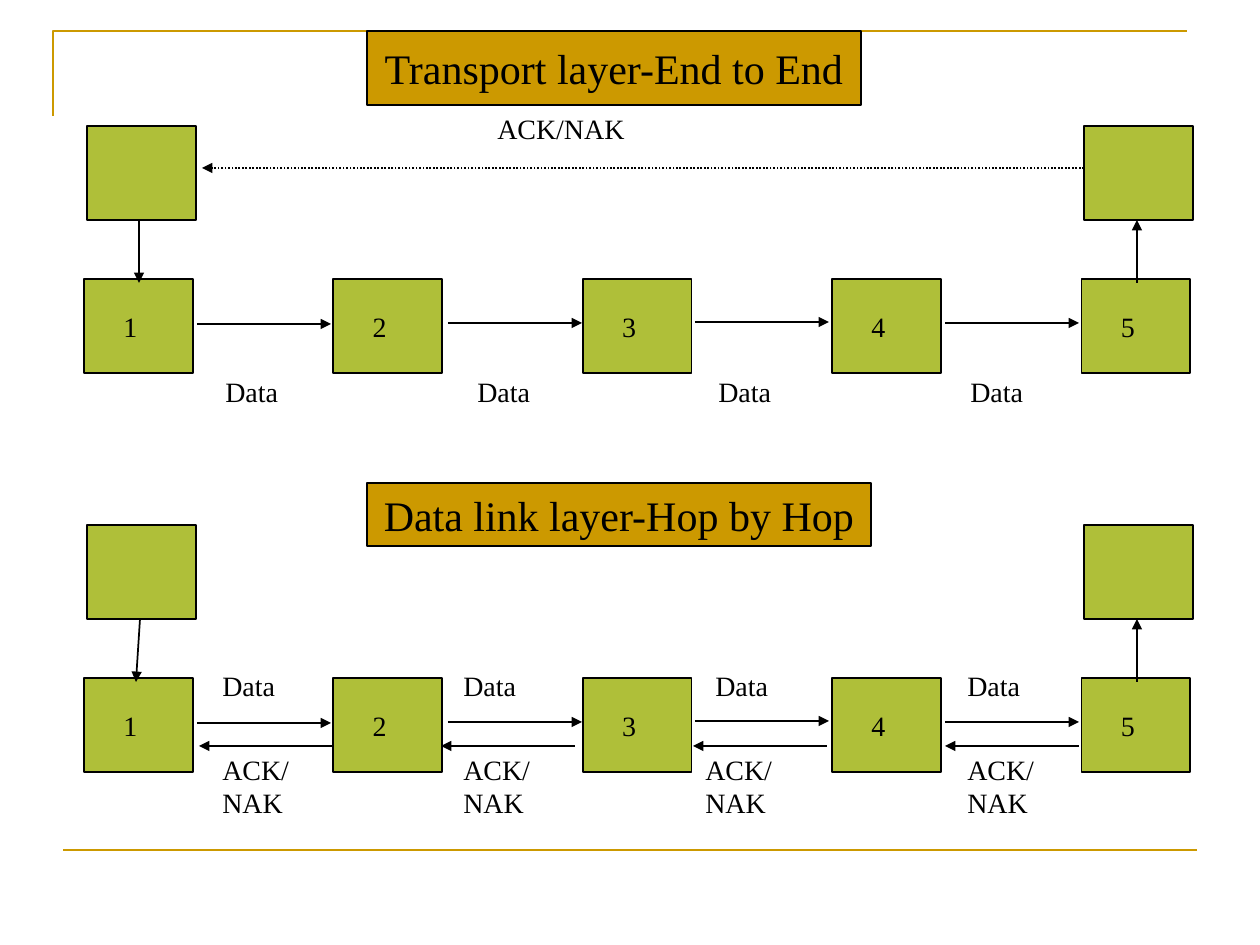
from pptx import Presentation
from pptx.dml.color import RGBColor
from pptx.enum.dml import MSO_LINE
from pptx.enum.shapes import MSO_CONNECTOR as Link, MSO_SHAPE as Preset
from pptx.enum.text import MSO_ANCHOR as Anchor, MSO_AUTO_SIZE as Fit, PP_ALIGN as Align
from pptx.oxml.ns import qn
from pptx.util import Emu, Inches, Pt
from lxml.etree import SubElement

EMU_PER_PX = Inches(1) / 126
GOLD = RGBColor(0xCC, 0x99, 0x00)
GREEN = RGBColor(0xAF, 0xBF, 0x39)
BLACK = RGBColor(0x00, 0x00, 0x00)

NODE_LEFT, NODE_TOP, NODE_STEP = 84, 279, 249.35
NODE_W, NODE_H = 109, 94
NODES = 5
LINK_LENGTH = 134
DATA_LINKS = [(197, 324), (448, 323), (695, 322), (945, 323)]
SECTION_GAP = 399


def px(*lengths):
    return [Emu(round(length * EMU_PER_PX)) for length in lengths]


class Diagram:
    font = {"name": "Times New Roman"}

    def __init__(self, slide):
        self.slide = slide
        self.shapes = slide.shapes

    def outline(self, line, color, width):
        line.color.rgb = color
        line.width = Pt(width)

    def set_text(self, frame, text, size, **frame_format):
        for key, value in frame_format.items():
            setattr(frame, key, value)
        paragraph = frame.paragraphs[0]
        paragraph.text = text
        for key, value in {**self.font, "size": Pt(size)}.items():
            setattr(paragraph.font, key, value)
        paragraph.font.color.rgb = BLACK
        return paragraph

    def box(self, x, y, width=NODE_W, height=NODE_H, fill=GREEN, border=1):
        box = self.shapes.add_shape(Preset.RECTANGLE, *px(x, y, width, height))
        box.shadow.inherit = False
        box.fill.solid()
        box.fill.fore_color.rgb = fill
        self.outline(box.line, BLACK, border)
        return box

    def heading(self, text, x, y, width, height):
        banner = self.box(x, y, width, height, GOLD, 0.75)
        paragraph = self.set_text(banner.text_frame, text, 24, word_wrap=False,
                                  vertical_anchor=Anchor.MIDDLE)
        paragraph.alignment = Align.CENTER

    def label(self, text, x, y, width=103, height=47):
        label = self.shapes.add_textbox(*px(x, y, width, height))
        self.set_text(label.text_frame, text, 16, word_wrap=True,
                      auto_size=Fit.SHAPE_TO_FIT_TEXT)

    def line(self, start, end, color=BLACK, width=1):
        line = self.shapes.add_connector(Link.STRAIGHT, *px(*start, *end))
        self.outline(line.line, color, width)
        SubElement(line._element.spPr, qn("a:effectLst"))
        return line

    def arrow(self, start, end, dash=None):
        arrow = self.line(start, end)
        if dash is not None:
            arrow.line.dash_style = dash
        SubElement(arrow.line._get_or_add_ln(), qn("a:tailEnd"), type="triangle")

    def corner(self, *points):
        """Draw an open gold line through the points."""
        first, *rest = [px(*point) for point in points]
        builder = self.shapes.build_freeform(*first)
        builder.add_line_segments(rest, close=False)
        corner = builder.convert_to_shape()
        corner.shadow.inherit = False
        corner.fill.background()
        self.outline(corner.line, GOLD, 1.5)

    def network(self, shift, sender_link):
        """Draw both hosts, the numbered nodes and the data arrows, moved down by shift."""
        for number in range(NODES):
            x, y = NODE_LEFT + number * NODE_STEP, NODE_TOP + shift
            self.box(x, y)
            self.label(str(number + 1), x + 27, y + 24, 85)
        for x, y in DATA_LINKS:
            self.arrow((x, y + shift), (x + LINK_LENGTH, y + shift))
        for host_x in (87, 1084):
            self.box(host_x, 126 + shift)
        sender_x, node_x = sender_link
        self.arrow((sender_x, 220 + shift), (node_x, 283 + shift))
        self.arrow((1137, 283 + shift), (1137, 220 + shift))


def main():
    deck = Presentation()
    deck.slide_width, deck.slide_height = px(1260, 945)
    diagram = Diagram(deck.slides.add_slide(deck.slide_layouts[6]))

    diagram.corner((53, 116), (53, 31), (1187, 31))
    diagram.line((63, 850), (1197, 850), GOLD, 1.5)

    diagram.network(0, (139, 139))
    for x in (213, 465, 706, 958):
        diagram.label("Data", x, 368)
    diagram.label("ACK/NAK", 485, 105, 188)
    diagram.arrow((1084, 168), (202, 168), MSO_LINE.ROUND_DOT)

    diagram.network(SECTION_GAP, (140, 136))
    for x in (210, 451, 703, 955):
        diagram.label("Data", x, 662)
    for x in (199, 441, 693, 945):
        diagram.arrow((x + LINK_LENGTH, 746), (x, 746))
    for x in (210, 451, 693, 955):
        diagram.label("ACK/NAK", x, 746, height=81)

    diagram.heading("Transport layer-End to End", 367, 31, 494, 74)
    diagram.heading("Data link layer-Hop by Hop", 367, 483, 504, 63)
    deck.save("out.pptx")


if __name__ == "__main__":
    main()
